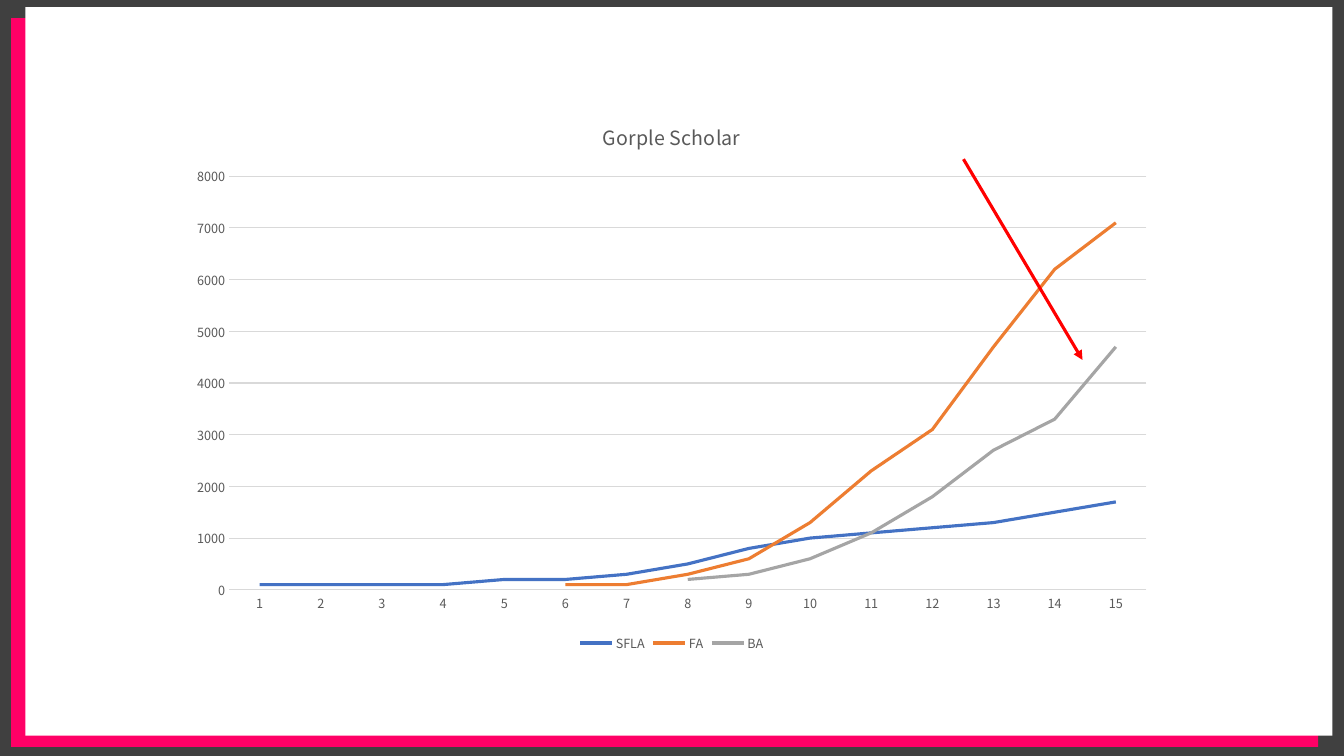
from dataclasses import dataclass

from lxml.etree import SubElement
from pptx import Presentation
from pptx.chart.data import CategoryChartData
from pptx.dml.color import RGBColor
from pptx.enum.chart import XL_CHART_TYPE, XL_LEGEND_POSITION, XL_TICK_MARK
from pptx.enum.shapes import MSO_CONNECTOR, MSO_SHAPE
from pptx.oxml.ns import qn
from pptx.util import Cm, Pt


@dataclass(frozen=True)
class Theme:
    """Colours, font and sizes of the slide."""
    font: str = "Noto Sans CJK KR"
    backdrop: str = "404040"
    accent: str = "FF0066"
    paper: str = "FFFFFF"
    text: str = "595959"
    grid: str = "D9D9D9"
    arrow: str = "FF0000"
    series: tuple = ("4472C4", "ED7D31", "A5A5A5")
    title_size: float = 14
    label_size: float = 9
    hairline: float = 0.75
    stroke: float = 2.25


THEME = Theme()
CITATIONS = {
    "SFLA": [100, 100, 100, 100, 200, 200, 300, 500, 800, 1000,
             1100, 1200, 1300, 1500, 1700],
    "FA": [None] * 5 + [100, 100, 300, 600, 1300, 2300, 3100, 4700, 6200, 7100],
    "BA": [None] * 7 + [200, 300, 600, 1100, 1800, 2700, 3300, 4700],
}


def style_font(font, size):
    """Give chart text the theme font and colour."""
    font.name = THEME.font
    font.size = Pt(size)
    font.bold = False
    font.color.rgb = RGBColor.from_string(THEME.text)


def style_line(line, color, width):
    """Set the colour and width of a line."""
    line.color.rgb = RGBColor.from_string(color)
    line.width = Pt(width)


def add_frame(slide, left, top, width, height):
    """Draw the white sheet in the box, with its accent sheet behind."""
    sheets = ((-0.36, 0.28, THEME.accent), (0, 0, THEME.paper))
    for dx, dy, color in sheets:
        sp = slide.shapes.add_shape(MSO_SHAPE.RECTANGLE, Cm(left + dx),
                                    Cm(top + dy), Cm(width), Cm(height))
        sp.shadow.inherit = False
        sp.fill.solid()
        sp.fill.fore_color.rgb = RGBColor.from_string(color)
        sp.line.fill.background()


def style_axes(chart):
    """Format the category and value axes."""
    for axis in (chart.category_axis, chart.value_axis):
        axis.major_tick_mark = axis.minor_tick_mark = XL_TICK_MARK.NONE
        style_font(axis.tick_labels.font, THEME.label_size)
    style_line(chart.category_axis.format.line, THEME.grid, THEME.hairline)
    values = chart.value_axis
    values.minimum_scale, values.maximum_scale, values.major_unit = 0, 8000, 1000
    values.format.line.fill.background()
    style_line(values.major_gridlines.format.line, THEME.grid, THEME.hairline)


def add_citation_chart(slide, left, top, width, height):
    """Place the citation line chart in the box."""
    data = CategoryChartData()
    data.categories = [str(year) for year in range(1, 16)]
    for name, counts in CITATIONS.items():
        data.add_series(name, counts)
    chart = slide.shapes.add_chart(XL_CHART_TYPE.LINE, Cm(left), Cm(top),
                                   Cm(width), Cm(height), data).chart
    style_font(chart.font, THEME.label_size)

    p = chart.chart_title.text_frame.paragraphs[0]
    p.text = "Gorple Scholar"
    style_font(p.runs[0].font, THEME.title_size)
    chart.chart_title.include_in_layout = False

    chart.has_legend = True
    chart.legend.position = XL_LEGEND_POSITION.BOTTOM
    chart.legend.include_in_layout = False
    style_font(chart.legend.font, THEME.label_size)

    style_axes(chart)
    chart.plots[0].vary_by_categories = False
    for series, color in zip(chart.plots[0].series, THEME.series):
        series.smooth = False
        style_line(series.format.line, color, THEME.stroke)


def add_arrow(slide, left, top, width, height):
    """Draw an arrow from the top left to the bottom right of the box."""
    arrow = slide.shapes.add_connector(MSO_CONNECTOR.STRAIGHT, Cm(left), Cm(top),
                                       Cm(left + width), Cm(top + height))
    style_line(arrow.line, THEME.arrow, THEME.stroke)
    SubElement(arrow.line._get_or_add_ln(), qn("a:tailEnd"), type="triangle")
    SubElement(arrow._element.spPr, qn("a:effectLst"))


def build_chart_slide(prs):
    """Add the slide with the framed chart and its arrow."""
    slide = prs.slides.add_slide(prs.slide_layouts[6])
    slide.background.fill.solid()
    slide.background.fill.fore_color.rgb = RGBColor.from_string(THEME.backdrop)
    add_frame(slide, 0.64, 0.18, 32.94, 18.36)
    add_citation_chart(slide, 4.47, 2.51, 24.92, 14.02)
    add_arrow(slide, 24.28, 4.01, 3, 5.06)


prs = Presentation()
prs.slide_width, prs.slide_height = Cm(33.87), Cm(19.05)
build_chart_slide(prs)
prs.save("out.pptx")
